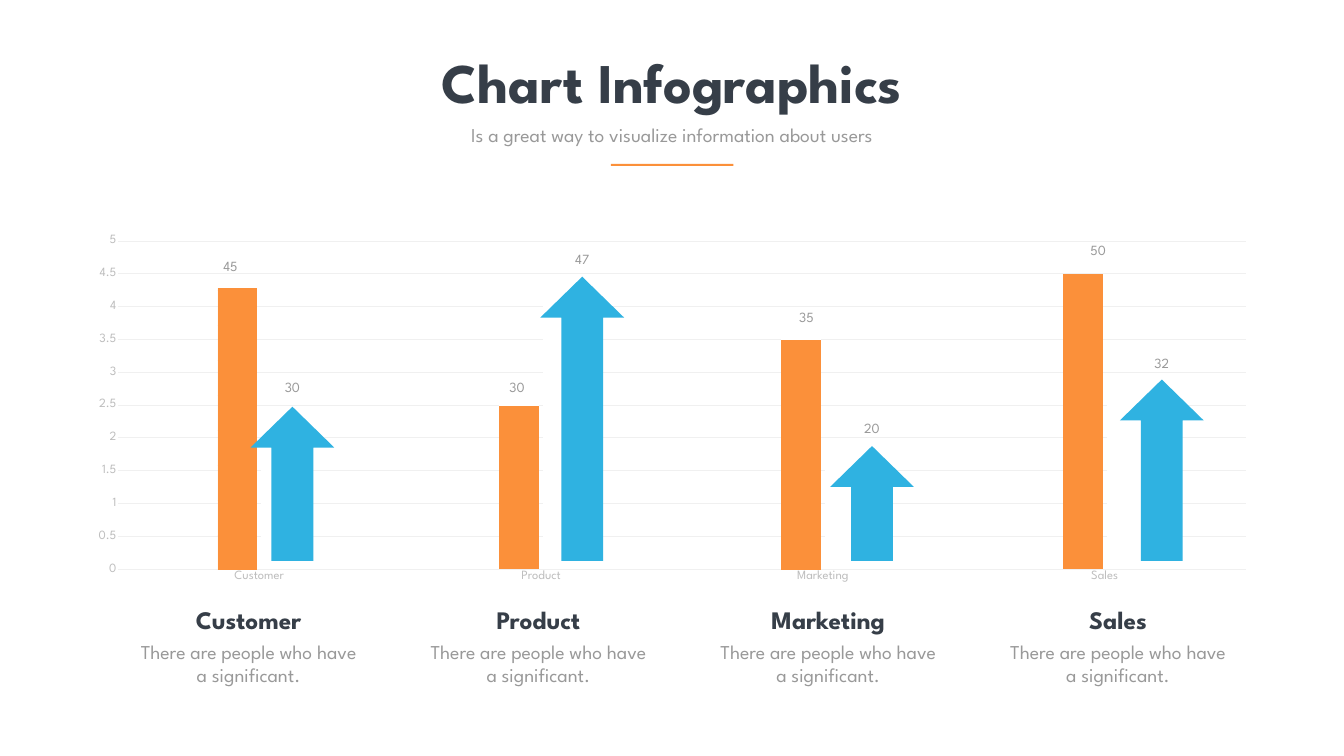
from pptx import Presentation
from pptx.chart.data import CategoryChartData
from pptx.dml.color import RGBColor
from pptx.enum.chart import XL_CHART_TYPE as Kind, XL_TICK_MARK as Tick
from pptx.enum.dml import MSO_PATTERN as Pattern
from pptx.enum.shapes import MSO_SHAPE as Shape
from pptx.enum.text import MSO_ANCHOR as Anchor, MSO_AUTO_SIZE as Auto, PP_ALIGN as Align
from pptx.util import Pt

FONT = "League Spartan"
DARK, GREY, PALE, RULE = "363E48", "999999", "BDBDBD", "F0F0F0"
ORANGE, BLUE, WHITE = "FB903A", "2FB2E1", "FFFFFF"
rgb = RGBColor.from_string


def style(font, size, color, bold=False):
    font.name, font.size, font.bold = FONT, Pt(size), bold
    font.color.rgb = rgb(color)


def write(box, place, text, size, color, bold=False):
    """Place a text shape and fill it with one centred run."""
    box.left, box.top, box.width, box.height = map(Pt, place)
    frame = box.text_frame
    frame.word_wrap = True
    frame.auto_size = Auto.NONE
    frame.vertical_anchor = Anchor.TOP
    para = frame.paragraphs[0]
    para.alignment = Align.CENTER
    run = para.add_run()
    run.text = text
    style(run.font, size, color, bold)


deck = Presentation()
deck.slide_width, deck.slide_height = Pt(1920), Pt(1080)
slide = deck.slides.add_slide(deck.slide_layouts[5])
shapes = slide.shapes

# Heading
write(shapes.title, (495.4, 64.8, 929.5, 104.4), "Chart Infographics", 80, DARK, True)
write(shapes.add_textbox(0, 0, 0, 0), (615.6, 171.4, 688.3, 41),
      "Is a great way to visualize information about users", 28, GREY)
bar = shapes.add_shape(Shape.RECTANGLE, Pt(872.6), Pt(234), Pt(175), Pt(2.9))
bar.shadow.inherit = False
bar.fill.solid()
bar.fill.fore_color.rgb = rgb(ORANGE)
bar.line.fill.background()

# Column chart; the white second series leaves room for the arrows
names = ["Customer", "Product", "Marketing", "Sales"]
data = CategoryChartData()
data.categories = names
data.add_series("Series 1", (4.3, 2.5, 3.5, 4.5))
data.add_series("Series 2", (2.4, 4.4, 1.8, 2.8))
chart = shapes.add_chart(Kind.COLUMN_CLUSTERED, Pt(106.6), Pt(325.4),
                         Pt(1707), Pt(517), data).chart
chart.has_title = chart.has_legend = False
style(chart.font, 18, GREY)

plot = chart.plots[0]
plot.gap_width, plot.overlap = 500, -10
plot.vary_by_categories = False
first, second = plot.series
fill = first.format.fill
fill.patterned()
fill.pattern = Pattern.LIGHT_HORIZONTAL
fill.fore_color.rgb, fill.back_color.rgb = rgb(ORANGE), rgb(WHITE)
second.format.fill.solid()
second.format.fill.fore_color.rgb = rgb(WHITE)

cats, vals = chart.category_axis, chart.value_axis
for axis in (cats, vals):
    axis.major_tick_mark = axis.minor_tick_mark = Tick.NONE
    style(axis.tick_labels.font, 18, PALE)
vals.minimum_scale, vals.maximum_scale, vals.major_unit = 0, 5, 0.5
vals.tick_labels.number_format = "General"
vals.tick_labels.number_format_is_linked = False
vals.format.line.fill.background()
vals.has_major_gridlines = True
for line in (cats.format.line, vals.major_gridlines.format.line):
    line.color.rgb = rgb(RULE)
    line.width = Pt(0.75)

# Arrows, numbers and captions, one set per category
STEP, BASE, WIDE = 414, 801.4, 119.5
NUM_W, NUM_H = 70.6, 31.7
# bar number, its left and top; arrow number, its top; arrow top
marks = [
    ("45", 293.8, 364.3, "30", 537.1, 581),
    ("30", 703.4, 537.1, "47", 354.2, 395.3),
    ("35", 1116.7, 437, "20", 596.2, 637.2),
    ("50", 1533.6, 342, "32", 503.3, 542.2),
]
for i, (name, mark) in enumerate(zip(names, marks)):
    left_num, num_x, num_y, right_num, right_y, tip = mark
    x = 358 + i * STEP
    arrow = shapes.add_shape(Shape.UP_ARROW, Pt(x), Pt(tip), Pt(WIDE), Pt(BASE - tip))
    arrow.adjustments[0], arrow.adjustments[1] = 0.5, 0.488
    arrow.shadow.inherit = False
    arrow.fill.solid()
    arrow.fill.fore_color.rgb = rgb(BLUE)
    arrow.line.fill.background()

    mid = x + (WIDE - NUM_W) / 2
    col = 192 + i * STEP
    for place, text, size, color, bold in (
        ((num_x, num_y, NUM_W, NUM_H), left_num, 20, GREY, False),
        ((mid, right_y, NUM_W, NUM_H), right_num, 20, GREY, False),
        ((col, 859.7, 326.2, 51), name, 36, DARK, True),
        ((col, 910, 326.2, 75), "There are people who have a significant.", 28, GREY, False),
    ):
        write(shapes.add_textbox(0, 0, 0, 0), place, text, size, color, bold)

deck.save("out.pptx")
